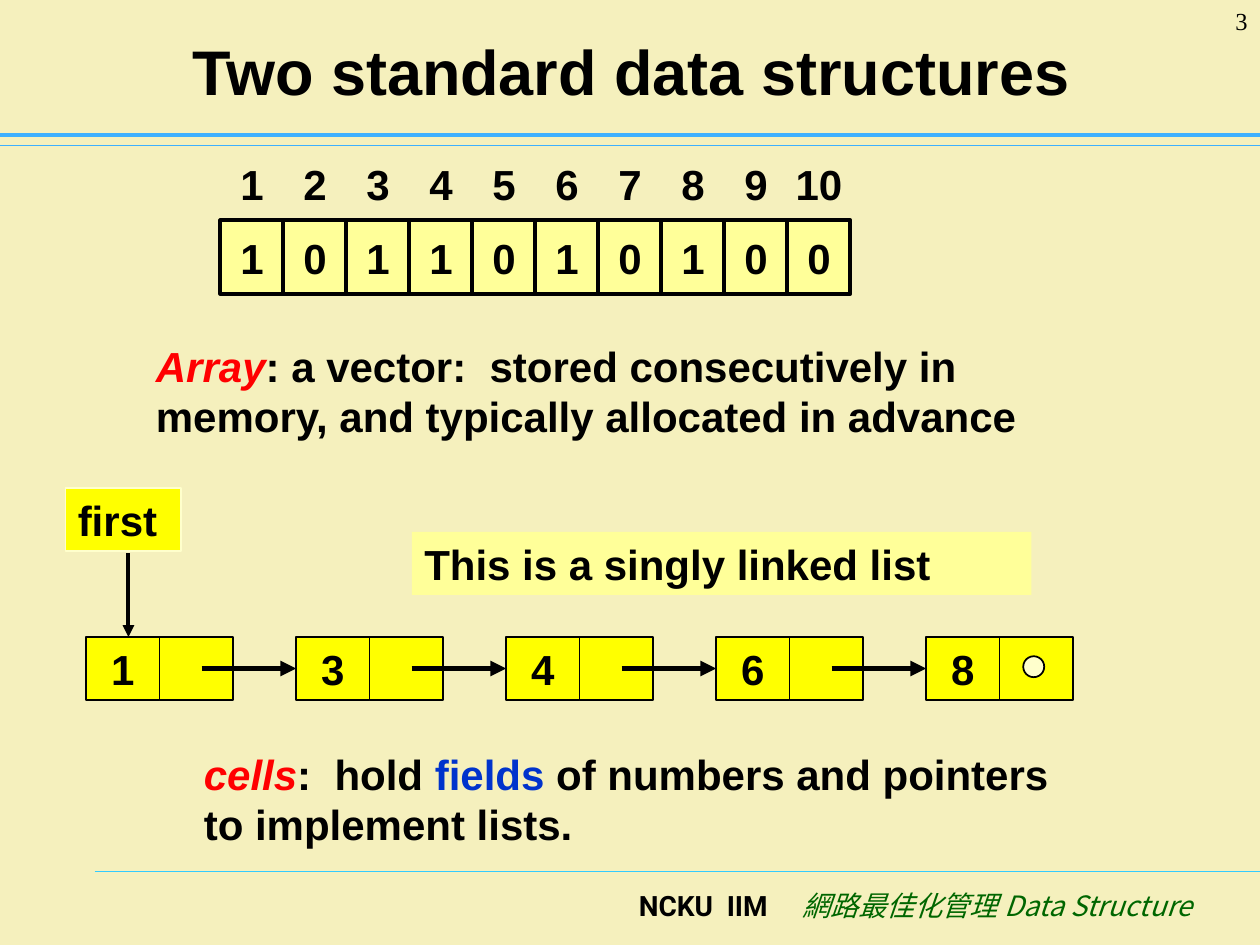
import pptx
import pptx.dml.color
import pptx.enum.shapes
import pptx.enum.text
import pptx.oxml.ns
import pptx.util
from lxml import etree

Pt = pptx.util.Pt
qn = pptx.oxml.ns.qn
ALIGN = pptx.enum.text.PP_ALIGN
ANCHOR = pptx.enum.text.MSO_ANCHOR
SHAPE = pptx.enum.shapes.MSO_SHAPE
STRAIGHT = pptx.enum.shapes.MSO_CONNECTOR.STRAIGHT

# Content: every text is a list of (text, style name) runs
TITLE = "Two standard data structures"
PAGE = "3"
ARRAY_VALUES = [1, 0, 1, 1, 0, 1, 0, 1, 0, 0]
LIST_VALUES = [1, 3, 4, 6, 8]
ARRAY_TEXT = [
    ("Array", "term"),
    (": a vector:  stored consecutively in memory, and typically allocated in advance", "body"),
]
CELLS_TEXT = [
    ("cells", "term"),
    (":  hold ", "body"),
    ("fields", "accent"),
    (" of numbers and pointers to implement lists.", "body"),
]
FOOTER = [("NCKU  IIM\t", "school"), ("網路最佳化管理 Data Structure", "course")]

THEME = {
    "colors": {
        "background": "F5F0BD", "black": "000000", "red": "FF0000", "blue": "0033CC",
        "green": "006600", "rule": "3DB0FF", "foot_rule": "33CCFF",
        "pale": "FFFF99", "yellow": "FFFF00", "cream": "FFFFCC",
    },
    "styles": {
        "title": {"name": "Arial", "size": Pt(36), "bold": True, "color": "black"},
        "body": {"name": "Arial", "size": Pt(24), "bold": True, "color": "black"},
        "term": {"name": "Arial", "size": Pt(24), "bold": True, "italic": True, "color": "red"},
        "accent": {"name": "Arial", "size": Pt(24), "bold": True, "color": "blue"},
        "school": {"name": "Roboto", "size": Pt(16), "bold": True, "color": "black"},
        "course": {"name": "Noto Sans CJK SC", "size": Pt(16), "italic": True, "color": "green"},
        "page": {"name": "Times New Roman", "size": Pt(14), "color": "black"},
    },
}


def color(name):
    return pptx.dml.color.RGBColor.from_string(THEME["colors"][name])


def write(s, runs, align=ALIGN.LEFT, anchor=ANCHOR.TOP, side=7.2, tab=None):
    """Fill a shape with one paragraph; side is its left and right inset."""
    tf = s.text_frame
    tf.word_wrap = True
    tf.vertical_anchor = anchor
    tf.margin_left = tf.margin_right = Pt(side)
    p = tf.paragraphs[0]
    p.alignment = align
    if tab:
        tabs = etree.SubElement(p._p.get_or_add_pPr(), qn("a:tabLst"))
        etree.SubElement(tabs, qn("a:tab"), pos=str(Pt(tab)), algn="l")
    for text, style in runs:
        r = p.add_run()
        r.text = text
        for key, value in THEME["styles"][style].items():
            if key == "color":
                r.font.color.rgb = color(value)
            else:
                setattr(r.font, key, value)
        if style == "course":
            etree.SubElement(r.font._element, qn("a:ea"), typeface=r.font.name)


def add_text(sp, box, runs, **fmt):
    s = sp.add_textbox(*map(Pt, box))
    write(s, runs, **fmt)


def add_box(sp, box, fill, line=None, width=1, kind=SHAPE.RECTANGLE):
    s = sp.add_shape(kind, *map(Pt, box))
    s.shadow.inherit = False
    s.fill.solid()
    s.fill.fore_color.rgb = color(fill)
    if line:
        s.line.color.rgb = color(line)
        s.line.width = Pt(width)
    else:
        s.line.fill.background()
    return s


def add_line(sp, ends, line, width, arrow=False):
    s = sp.add_connector(STRAIGHT, *map(Pt, ends))
    s.line.color.rgb = color(line)
    s.line.width = Pt(width)
    props = s._element.spPr
    if arrow:
        etree.SubElement(props.find(qn("a:ln")), qn("a:tailEnd"), type="triangle")
    etree.SubElement(props, qn("a:effectLst"))


CENTERED = {"align": ALIGN.CENTER, "anchor": ANCHOR.MIDDLE}
LABEL = {**CENTERED, "side": 0}


def draw_array(sp, left=126, top=126, width=36, height=42):
    for i, value in enumerate(ARRAY_VALUES):
        x = left + i * width
        cell = add_box(sp, (x, top, width, height), "pale", "black", 2.25)
        write(cell, [(str(value), "body")], **LABEL)
        add_text(sp, (x, top - height, width, height), [(str(i + 1), "body")], **LABEL)


def draw_linked_list(sp, left=49.2, top=364, width=42, height=36, pitch=120):
    middle = top + height / 2
    last = len(LIST_VALUES) - 1
    for i, value in enumerate(LIST_VALUES):
        x = left + i * pitch
        number = add_box(sp, (x, top, width, height), "yellow", "black")
        write(number, [(str(value), "body")], **LABEL)
        add_box(sp, (x + width, top, width, height), "yellow", "black")
        if i == last:
            add_box(sp, (x + 55.5, middle - 7, 12, 12), "cream", "black", kind=SHAPE.OVAL)
    for i in range(last):
        x = left + i * pitch
        add_line(sp, (x + 66, middle, x + pitch, middle), "black", 3, arrow=True)

    first = add_box(sp, (37.4, 279, 66, height), "yellow", "cream")
    write(first, [("first", "body")])
    add_line(sp, (73.4, 316, 73.4, top), "black", 2.25, arrow=True)


def main():
    prs = pptx.Presentation()
    prs.slide_width, prs.slide_height = Pt(720), Pt(540)
    slide = prs.slides.add_slide(prs.slide_layouts[5])
    slide.background.fill.solid()
    slide.background.fill.fore_color.rgb = color("background")
    sp = slide.shapes

    title = sp.title
    title.left, title.top, title.width, title.height = map(Pt, (36.7, 9, 648, 62.6))
    write(title, [(TITLE, "title")], **CENTERED)

    add_line(sp, (54, 498, 720, 498), "foot_rule", 0.75)
    add_line(sp, (0, 83.2, 720, 83.2), "rule", 0.75)
    add_line(sp, (0, 77, 720, 77), "rule", 2.5)

    draw_array(sp)
    add_text(sp, (82, 190.8, 545.8, 64.8), ARRAY_TEXT)
    draw_linked_list(sp)
    caption = add_box(sp, (235.4, 304, 354, 36), "pale")
    write(caption, [("This is a singly linked list", "body")])
    add_text(sp, (109.4, 424, 522, 64.8), CELLS_TEXT)

    add_text(sp, (358, 504, 350, 36), FOOTER, tab=93.5)
    add_text(sp, (660, 0, 60, 36), [(PAGE, "page")], align=ALIGN.RIGHT)
    prs.save("out.pptx")


if __name__ == "__main__":
    main()
